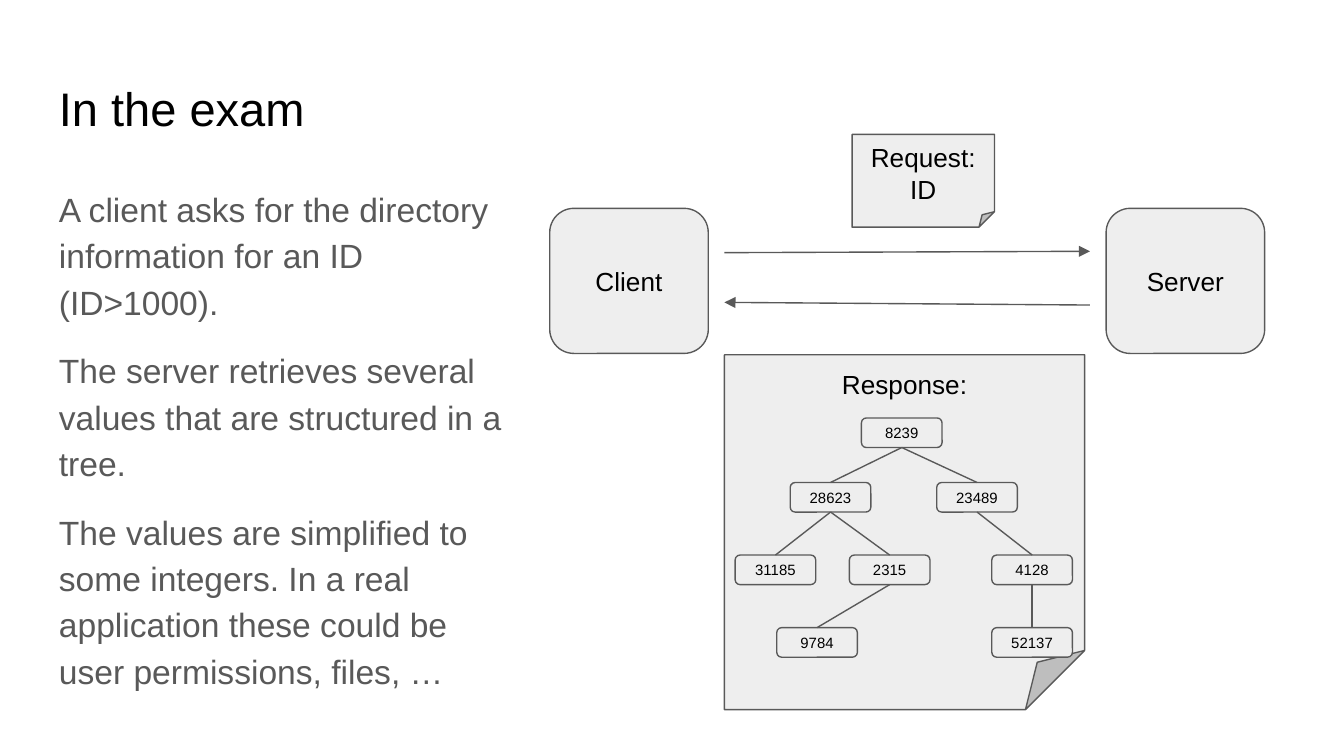
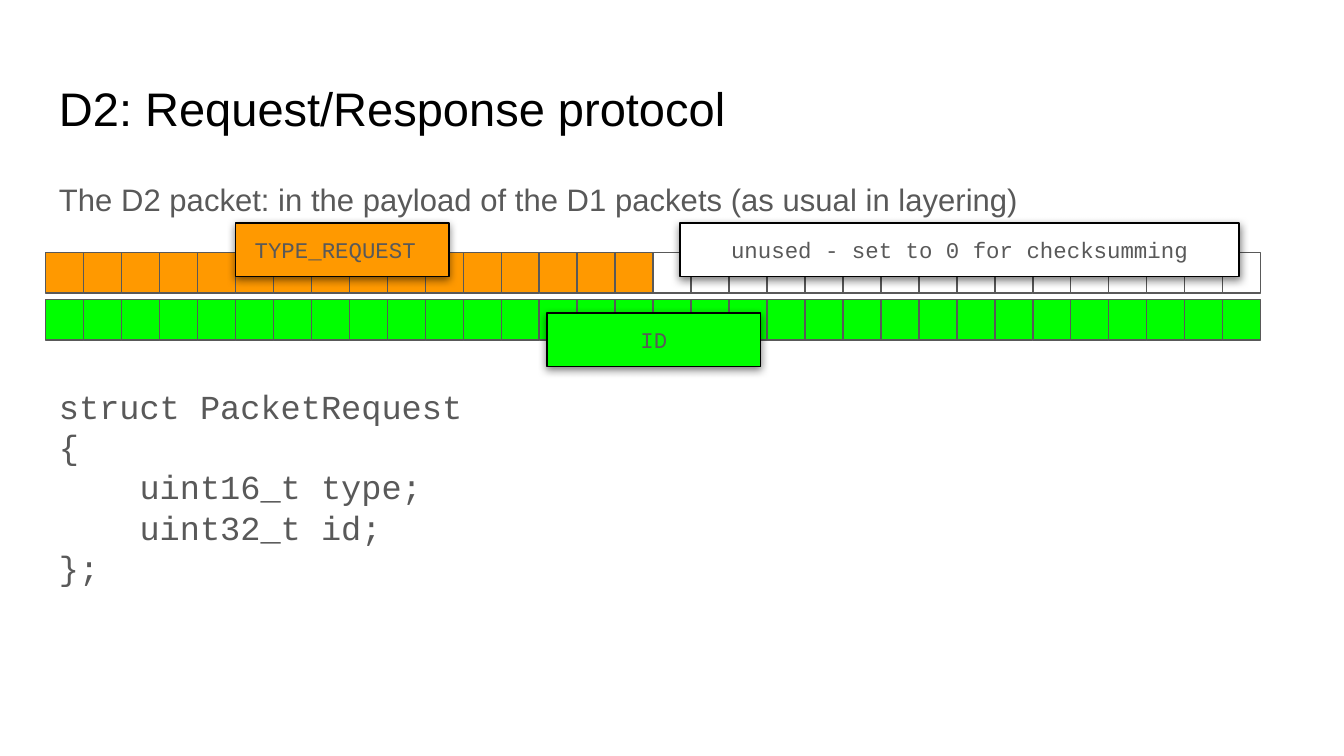
from dataclasses import dataclass
from typing import Optional

from lxml.etree import SubElement
from pptx import Presentation
from pptx.dml.color import RGBColor
from pptx.enum.shapes import MSO_CONNECTOR, MSO_SHAPE
from pptx.enum.text import MSO_ANCHOR, PP_ALIGN
from pptx.oxml.ns import qn
from pptx.util import Inches, Pt

COLORS = {
    "black": "000000",
    "grey": "595959",
    "light": "EEEEEE",
    "white": "FFFFFF",
    "orange": "FF9900",
    "green": "00FF00",
}
TOP, BOTTOM = 0, 2  # connection sites of a rectangle


@dataclass(frozen=True)
class TextStyle:
    size: float
    color: str = "black"
    font: str = "Arial"
    align: PP_ALIGN = PP_ALIGN.LEFT
    spacing: float = 1.0
    gap: float = 0


@dataclass(frozen=True)
class Box:
    left: float
    top: float
    width: float
    height: float

    def lengths(self) -> list:
        return [Inches(v) for v in (self.left, self.top, self.width, self.height)]


@dataclass(frozen=True)
class Node:
    value: str
    left: float
    level: int
    parent: Optional[str] = None


@dataclass(frozen=True)
class Arrow:
    start: tuple[float, float]
    end: tuple[float, float]


@dataclass(frozen=True)
class Field:
    """A name tag laid over the bits of the packet."""
    text: str
    box: Box
    fill: str
    right_inset: float = 0.1


TITLE = TextStyle(25.2)
BODY = TextStyle(18, "grey", spacing=1.15, gap=12)
LEAD = TextStyle(16.65, "grey", spacing=0.95, gap=12)
CODE = TextStyle(18, "grey", "Courier New")
FIELD = TextStyle(12, "grey", "Courier New", PP_ALIGN.CENTER)
LABEL = TextStyle(14, align=PP_ALIGN.CENTER)
VALUE = TextStyle(8, align=PP_ALIGN.CENTER)

PARAGRAPHS = [
    "A client asks for the directory information for an ID (ID>1000).",
    "The server retrieves several values that are structured in a tree.",
    "The values are simplified to some integers. In a real application "
    "these could be user permissions, files, …",
]
ARROWS = [Arrow((5.39, 1.88), (8.11, 1.87)), Arrow((8.11, 2.27), (5.39, 2.25))]
LEVEL_TOPS = [3.11, 3.59, 4.13, 4.67]
TREE = [
    Node("8239", 6.41, 0),
    Node("28623", 5.88, 1, "8239"),
    Node("31185", 5.47, 2, "28623"),
    Node("2315", 6.32, 2, "28623"),
    Node("9784", 5.78, 3, "2315"),
    Node("23489", 6.97, 1, "8239"),
    Node("4128", 7.38, 2, "23489"),
    Node("52137", 7.38, 3, "4128"),
]
CODE_LINES = ["struct PacketRequest", "{", "uint16_t type;", "uint32_t id;", "};"]
CODE_INDENT = Inches(0.6)

BITS = 32
ROW_LEFT, ROW_WIDTH, BIT_HEIGHT = 0.34, 9.04, 0.3
TYPE_FIELD = Field("TYPE_REQUEST", Box(1.75, 1.66, 1.59, 0.4), "orange", 0.2)
UNUSED_FIELD = Field("unused - set to 0 for checksumming", Box(5.06, 1.66, 4.16, 0.4), "white")
ID_FIELD = Field("ID", Box(4.07, 2.33, 1.59, 0.4), "green")


def rgb(name: str) -> RGBColor:
    return RGBColor.from_string(COLORS[name])


def write(tf, lines: list[str], style: TextStyle) -> None:
    tf.word_wrap = True
    tf.margin_left = tf.margin_right = tf.margin_top = tf.margin_bottom = Inches(0.1)
    tf.text = "\n".join(lines)
    for i, p in enumerate(tf.paragraphs):
        p.alignment = style.align
        p.line_spacing = style.spacing
        p.space_before = Pt(style.gap if i else 0)
        for r in p.runs:
            r.font.size = Pt(style.size)
            r.font.name = style.font
            r.font.color.rgb = rgb(style.color)
    p.space_after = Pt(style.gap)


def add_text(s, box: Box, lines: list[str], style: TextStyle):
    tf = s.shapes.add_textbox(*box.lengths()).text_frame
    write(tf, lines, style)
    return tf


def add_box(shapes, kind: MSO_SHAPE, box: Box, fill: str, line: str = "grey"):
    sp = shapes.add_shape(kind, *box.lengths())
    sp.shadow.inherit = False
    sp.fill.solid()
    sp.fill.fore_color.rgb = rgb(fill)
    sp.line.color.rgb = rgb(line)
    sp.line.width = Pt(0.75)
    return sp


def add_labelled(s, kind: MSO_SHAPE, box: Box, lines: list[str], style: TextStyle = LABEL):
    sp = add_box(s.shapes, kind, box, "light")
    write(sp.text_frame, lines, style)
    sp.text_frame.vertical_anchor = MSO_ANCHOR.MIDDLE
    return sp


def add_line(s, start: tuple[float, float] = (0, 0), end: tuple[float, float] = (0, 0)):
    cn = s.shapes.add_connector(
        MSO_CONNECTOR.STRAIGHT, *(Inches(v) for v in (*start, *end)))
    cn.line.color.rgb = rgb("grey")
    cn.line.width = Pt(0.75)
    SubElement(cn._element.spPr, qn("a:effectLst"))
    return cn


def add_arrow(s, arrow: Arrow) -> None:
    ln = add_line(s, arrow.start, arrow.end).line._get_or_add_ln()
    SubElement(ln, qn("a:tailEnd"), type="triangle")


def add_tree(s) -> None:
    shapes = {
        n.value: add_labelled(s, MSO_SHAPE.ROUNDED_RECTANGLE,
                              Box(n.left, LEVEL_TOPS[n.level], 0.6, 0.22),
                              [n.value], VALUE)
        for n in TREE
    }
    for n in TREE:
        if n.parent:
            cn = add_line(s)
            cn.begin_connect(shapes[n.parent], BOTTOM)
            cn.end_connect(shapes[n.value], TOP)


def add_bits(shapes, top: float, fills: list[str]) -> None:
    pitch = ROW_WIDTH / BITS
    for i, fill in enumerate(fills):
        add_box(shapes, MSO_SHAPE.RECTANGLE,
                Box(ROW_LEFT + i * pitch, top, pitch, BIT_HEIGHT), fill)


def add_field(s, field: Field) -> None:
    sp = add_box(s.shapes, MSO_SHAPE.RECTANGLE, field.box, field.fill, "black")
    write(sp.text_frame, [field.text], FIELD)
    sp.text_frame.margin_right = Inches(field.right_inset)
    sp.text_frame.vertical_anchor = MSO_ANCHOR.TOP
    effects = sp._element.spPr.find(qn("a:effectLst"))
    shadow = SubElement(effects, qn("a:outerShdw"), blurRad=str(Pt(4.5)),
                        dist=str(Pt(1.5)), dir="5400000", algn="bl", rotWithShape="0")
    color = SubElement(shadow, qn("a:srgbClr"), val=COLORS["black"])
    SubElement(color, qn("a:alpha"), val="50000")


def new_slide(prs, title: str):
    s = prs.slides.add_slide(prs.slide_layouts[6])
    s.background.fill.solid()
    s.background.fill.fore_color.rgb = rgb("white")
    add_text(s, Box(0.34, 0.49, 9.32, 0.63), [title], TITLE)
    return s


def build_exam(prs) -> None:
    s = new_slide(prs, "In the exam")
    add_text(s, Box(0.34, 1.26, 3.63, 3.95), PARAGRAPHS, BODY)
    for name, left in (("Client", 4.09), ("Server", 8.23)):
        add_labelled(s, MSO_SHAPE.ROUNDED_RECTANGLE, Box(left, 1.55, 1.18, 1.08), [name])
    for arrow in ARROWS:
        add_arrow(s, arrow)
    add_labelled(s, MSO_SHAPE.FOLDED_CORNER, Box(6.34, 1, 1.06, 0.69), ["Request:", "ID"])
    response = add_labelled(s, MSO_SHAPE.FOLDED_CORNER, Box(5.39, 2.64, 2.68, 2.64),
                            ["Response:"])
    response.text_frame.vertical_anchor = MSO_ANCHOR.TOP
    add_tree(s)


def build_protocol(prs) -> None:
    s = new_slide(prs, "D2: Request/Response protocol")
    add_text(s, Box(0.34, 1.26, 9.26, 0.48),
             ["The D2 packet: in the payload of the D1 packets (as usual in layering)"], LEAD)
    code = add_text(s, Box(0.34, 2.77, 5.62, 1.72), CODE_LINES, CODE)
    for p in code.paragraphs[2:4]:
        p._p.get_or_add_pPr().set("marL", str(CODE_INDENT))
    half = BITS // 2
    add_bits(s.shapes, 1.88, ["orange"] * half + ["white"] * half)
    add_field(s, TYPE_FIELD)
    add_bits(s.shapes.add_group_shape().shapes, 2.23, ["green"] * BITS)
    add_field(s, UNUSED_FIELD)
    add_field(s, ID_FIELD)


def main() -> None:
    prs = Presentation()
    prs.slide_width = Inches(10)
    prs.slide_height = Inches(10) * 9 // 16
    build_exam(prs)
    build_protocol(prs)
    prs.save("out.pptx")


if __name__ == "__main__":
    main()
